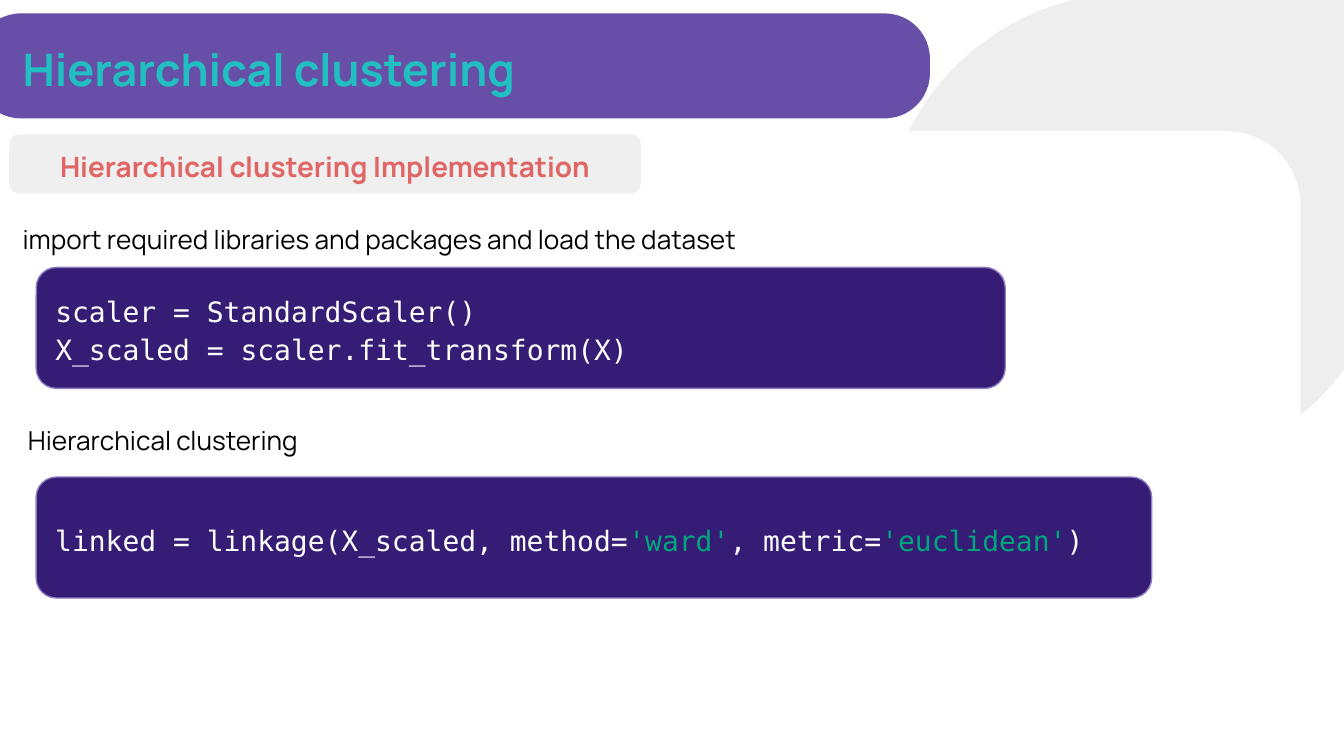
"""Build the slide on implementing hierarchical clustering."""
from pptx import Presentation
from pptx.dml.color import RGBColor
from pptx.enum.shapes import MSO_SHAPE as Shape
from pptx.enum.text import MSO_ANCHOR as Anchor, PP_ALIGN as Align
from pptx.util import Pt

COLORS = {
    "teardrop": "EEEEEE",
    "banner": "674EA7",
    "panel": "FFFFFF",
    "badge": "EFEFEF",
    "code": "351C75",
    "code_edge": "8E7CC3",
    "title": "21BFC1",
    "heading": "E06666",
    "caption": "000000",
    "plain": "FFFFFF",
    "string": "00A67D",
}
TITLE = {"name": "Manrope", "size": Pt(24), "bold": True}
HEADING = {"name": "Manrope", "size": Pt(15), "bold": True}
CAPTION = {"name": "Manrope", "size": Pt(14), "bold": False}
CODE = {"name": "DejaVu Sans Mono", "size": Pt(15), "bold": False}
INSET = Pt(7.2)
CODE_LEFT, CODE_HEIGHT = 19.4, 64.8


def color(name):
    """Return the named colour."""
    return RGBColor.from_string(COLORS[name])


def add_panel(page, kind, place, fill, corner, edge=None):
    """Add a filled preset shape with an optional thin outline."""
    panel = page.shapes.add_shape(kind, *map(Pt, place))
    panel.shadow.inherit = False
    panel.adjustments[0] = corner
    panel.fill.solid()
    panel.fill.fore_color.rgb = color(fill)
    if edge:
        panel.line.color.rgb = color(edge)
        panel.line.width = Pt(0.75)
    else:
        panel.line.fill.background()
    return panel


def write(box, lines, style, anchor=Anchor.TOP, align=Align.LEFT, spacing=1.15):
    """Fill a box with lines, each a list of text and colour pairs."""
    frame = box.text_frame
    settings = {"word_wrap": True, "vertical_anchor": anchor}
    settings.update({f"margin_{side}": INSET for side in ("left", "top", "right", "bottom")})
    for name, value in settings.items():
        setattr(frame, name, value)
    for index, line in enumerate(lines):
        para = frame.add_paragraph() if index else frame.paragraphs[0]
        para.alignment = align
        para.line_spacing = spacing
        for text, ink in line:
            span = para.add_run()
            span.text = text
            for name, value in style.items():
                setattr(span.font, name, value)
            span.font.color.rgb = color(ink)


def add_label(page, place, text, ink, style, spacing):
    """Add a text box holding a single line."""
    box = page.shapes.add_textbox(*map(Pt, place))
    write(box, [[(text, ink)]], style, spacing=spacing)


def add_code(page, top, width, lines):
    """Add a dark rounded block of code."""
    place = (CODE_LEFT, top, width, CODE_HEIGHT)
    block = add_panel(page, Shape.ROUNDED_RECTANGLE, place, "code", 0.167, "code_edge")
    write(block, lines, CODE, Anchor.MIDDLE)


def add_backdrop(page):
    """Add the decorative shapes behind the content."""
    add_panel(page, Shape.TEAR, (474.5, -4.3, 270, 257), "teardrop", 0.98)
    add_panel(page, Shape.ROUNDED_RECTANGLE, (-13, 7.2, 511.2, 56.2), "banner", 0.43)
    add_panel(page, Shape.ROUNDED_RECTANGLE, (22.3, 70.6, 674, 314), "panel", 0.125, "panel")


def main():
    """Build and save the deck."""
    deck = Presentation()
    deck.slide_width, deck.slide_height = Pt(720), Pt(405)
    page = deck.slides.add_slide(deck.slide_layouts[6])

    add_backdrop(page)
    add_label(page, (5, 10.8, 671, 45.4), "Hierarchical clustering", "title", TITLE, 1.15)

    badge = add_panel(page, Shape.ROUNDED_RECTANGLE, (5, 72, 338.4, 31.7), "badge", 0.167)
    heading = [[("Hierarchical clustering Implementation", "heading")]]
    write(badge, heading, HEADING, Anchor.MIDDLE, Align.CENTER)

    captions = [
        (5, 112.3, "import required libraries and packages and load the dataset"),
        (7.9, 220.3, "Hierarchical clustering"),
    ]
    for left, top, text in captions:
        add_label(page, (left, top, 466, 31.7), text, "caption", CAPTION, 1.0)

    add_code(page, 143.3, 519.1, [
        [("scaler = StandardScaler()", "plain")],
        [("X_scaled = scaler.fit_transform(X)", "plain")],
    ])
    add_code(page, 255.6, 597.6, [[
        ("linked = linkage(X_scaled, method=", "plain"),
        ("'ward'", "string"),
        (", metric=", "plain"),
        ("'euclidean'", "string"),
        (")", "plain"),
    ]])
    deck.save("out.pptx")


if __name__ == "__main__":
    main()
